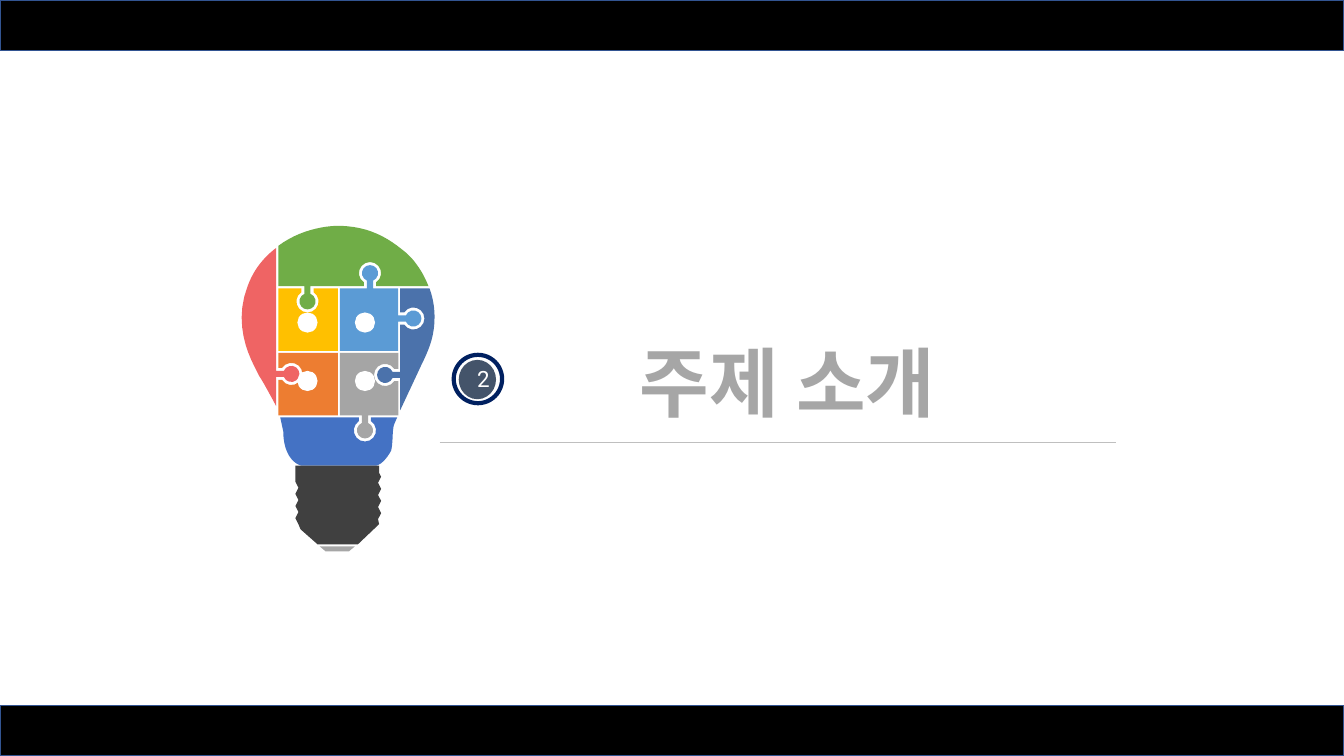
from dataclasses import dataclass
from math import asin, cos, pi, sin

from lxml import etree
from pptx import Presentation
from pptx.dml.color import RGBColor
from pptx.enum.shapes import MSO_CONNECTOR, MSO_SHAPE
from pptx.enum.text import PP_ALIGN
from pptx.oxml.ns import qn
from pptx.util import Inches, Pt

RECTANGLE = MSO_SHAPE.RECTANGLE
OVAL = MSO_SHAPE.OVAL
STRAIGHT = MSO_CONNECTOR.STRAIGHT
CENTER = PP_ALIGN.CENTER


@dataclass(frozen=True)
class Theme:
    font: str = "Roboto"
    title_size: int = 54
    number_size: int = 16
    title: str = "A6A6A6"
    white: str = "FFFFFF"
    bar: str = "000000"
    bar_line: str = "325491"
    ring: str = "002060"
    badge: str = "44546A"
    rule: str = "BFBFBF"
    gray: str = "A5A5A5"
    orange: str = "ED7D31"
    green: str = "70AD47"
    sky: str = "5B9BD5"
    navy: str = "4B72AB"
    blue: str = "4472C4"
    red: str = "EF6464"
    yellow: str = "FFC000"
    socket: str = "404040"
    tip: str = "A6A6A6"


THEME = Theme()
SLIDE_WIDTH, SLIDE_HEIGHT = 13.33, 7.5
BAR_HEIGHT = 0.5
SEAM_X = (2.75, 3.36, 3.96)
SEAM_Y = (2.85, 3.49, 4.13)
HALF_GAP = 0.01
KNOB_REACH = 0.14
KNOB_RADIUS, KNOB_NECK = 0.08, 0.03
HOLE_MARGIN = 0.03
STEPS = 12
ICON_SIZE = 0.2
RIGHT, DOWN, LEFT, UP = (quarter * pi / 2 for quarter in range(4))


def color(value):
    return RGBColor.from_string(value)


def style_shape(shape, fill=None, line=None, line_width=1):
    shape.shadow.inherit = False
    if fill:
        shape.fill.solid()
        shape.fill.fore_color.rgb = color(fill)
    else:
        shape.fill.background()
    if line:
        shape.line.color.rgb = color(line)
        shape.line.width = Pt(line_width)
    else:
        shape.line.fill.background()


def add_preset(slide, kind, left, top, width, height, **style):
    shape = slide.shapes.add_shape(kind, Inches(left), Inches(top), Inches(width), Inches(height))
    style_shape(shape, **style)


def add_outline(slide, points, fill):
    start, *rest = [(Inches(x), Inches(y)) for x, y in points]
    builder = slide.shapes.build_freeform(*start)
    builder.add_line_segments(rest, close=True)
    style_shape(builder.convert_to_shape(), fill=fill)


def curve(*controls):
    points = []
    for step in range(STEPS + 1):
        t = step / STEPS
        weights = ((1 - t) ** 3, 3 * t * (1 - t) ** 2, 3 * t * t * (1 - t), t ** 3)
        points.append(tuple(sum(weight * control[axis] for weight, control in zip(weights, controls))
                            for axis in (0, 1)))
    return points


def knob(seam_x, seam_y, angle, margin=0):
    radius, neck = KNOB_RADIUS + margin, KNOB_NECK + margin
    base = -HALF_GAP if margin == 0 else HALF_GAP
    opening = asin(neck / radius)
    sweep = 2 * (pi - opening)
    local = [(base, -neck)]
    for step in range(STEPS + 1):
        turn = opening - pi + sweep * step / STEPS
        local.append((KNOB_REACH + radius * cos(turn), radius * sin(turn)))
    local.append((base, neck))
    return [(seam_x + along * cos(angle) - across * sin(angle),
             seam_y + along * sin(angle) + across * cos(angle)) for along, across in local]


def hole(tab):
    return knob(*tab, margin=HOLE_MARGIN)[::-1]


def cell(column, row, top=(), right=(), bottom=(), left=()):
    x1, x2 = SEAM_X[column] + HALF_GAP, SEAM_X[column + 1] - HALF_GAP
    y1, y2 = SEAM_Y[row] + HALF_GAP, SEAM_Y[row + 1] - HALF_GAP
    return [(x1, y1), *top, (x2, y1), *right, (x2, y2), *bottom, (x1, y2), *left]


def add_bulb(slide):
    x1, x3 = SEAM_X[0], SEAM_X[2]
    y1, y3 = SEAM_Y[0], SEAM_Y[2]
    green_tab = (3.05, y1, DOWN)
    sky_top_tab = (3.67, y1, UP)
    sky_side_tab = (x3, 3.16, RIGHT)
    navy_tab = (x3, 3.72, LEFT)
    gray_tab = (3.62, y3, DOWN)
    red_tab = (x1, 3.71, RIGHT)

    dome = [
        *curve((x1 + HALF_GAP, 2.44), (2.96, 2.29), (3.2, 2.24), (3.37, 2.24)),
        *curve((3.37, 2.24), (3.66, 2.25), (3.84, 2.35), (4.03, 2.51)),
        *curve((4.03, 2.51), (4.12, 2.59), (4.2, 2.71), (4.25, y1 - HALF_GAP)),
        *hole(sky_top_tab), *knob(*green_tab), (x1 + HALF_GAP, y1 - HALF_GAP)]
    right_side = [
        (x3 + HALF_GAP, y1 + HALF_GAP),
        *curve((4.26, y1 + HALF_GAP), (4.3, 2.97), (4.31, 3.07), (4.31, 3.14)),
        *curve((4.31, 3.14), (4.31, 3.3), (4.28, 3.42), (4.18, 3.62)),
        *curve((4.18, 3.62), (4.12, 3.75), (4.03, 3.94), (x3 + HALF_GAP, 4.07)),
        *knob(*navy_tab), *hole(sky_side_tab)]
    left_side = [
        (x1 - HALF_GAP, 2.46), *knob(*red_tab),
        *curve((x1 - HALF_GAP, 4.03), (2.67, 3.9), (2.6, 3.77), (2.57, 3.73)),
        *curve((2.57, 3.73), (2.54, 3.65), (2.28, 3.28), (2.46, 2.83)),
        *curve((2.46, 2.83), (2.52, 2.67), (2.62, 2.55), (x1 - HALF_GAP, 2.46))]
    neck = [
        (2.78, y3 + HALF_GAP), *hole(gray_tab), (3.94, y3 + HALF_GAP),
        *curve((3.91, 4.21), (3.89, 4.26), (3.9, 4.4), (3.88, 4.47)),
        *curve((3.88, 4.47), (3.85, 4.53), (3.78, 4.62), (3.72, 4.62)),
        *curve((3, 4.62), (2.95, 4.62), (2.81, 4.54), (2.81, 4.28))]

    pieces = [
        (THEME.gray, cell(1, 1, right=hole(navy_tab), bottom=knob(*gray_tab))),
        (THEME.orange, cell(0, 1, left=hole(red_tab))),
        (THEME.green, dome),
        (THEME.sky, cell(1, 0, top=knob(*sky_top_tab), right=knob(*sky_side_tab))),
        (THEME.navy, right_side),
        (THEME.blue, neck),
        (THEME.red, left_side),
        (THEME.yellow, cell(0, 0, top=hole(green_tab))),
        (THEME.socket, socket_outline()),
        (THEME.tip, [(3.17, 5.42), (3.52, 5.42), (3.46, 5.47), (3.23, 5.47)]),
    ]
    for fill, points in pieces:
        add_outline(slide, points, fill)
    for x in (3.05, 3.62):
        for y in (3.2, 3.78):
            add_preset(slide, OVAL, x - ICON_SIZE / 2, y - ICON_SIZE / 2, ICON_SIZE, ICON_SIZE,
                       fill=THEME.white)


def socket_outline():
    right, left = [], []
    for ridge in range(8):
        drop = ridge * 0.06
        inward = 0.03 * (ridge % 2)
        right.append((3.78 - inward, 4.73 + drop))
        left.append((2.93 + inward, 4.78 + drop))
    return [(2.93, 4.62), (3.76, 4.62), (3.76, 4.69), *right, (3.76, 5.2),
            (3.55, 5.4), (3.15, 5.4), (2.98, 5.25), *left[::-1]]


def add_text(slide, text, left, top, width, height, size, font_color, bold=False):
    box = slide.shapes.add_textbox(Inches(left), Inches(top), Inches(width), Inches(height))
    box.text_frame.word_wrap = True
    paragraph = box.text_frame.paragraphs[0]
    paragraph.alignment = CENTER
    run = paragraph.add_run()
    run.text = text
    run.font.name = THEME.font
    run.font.size = Pt(size)
    run.font.bold = bold
    run.font.color.rgb = color(font_color)


def add_rule(slide, left, right, top):
    rule = slide.shapes.add_connector(STRAIGHT, Inches(left), Inches(top), Inches(right), Inches(top))
    rule.line.color.rgb = color(THEME.rule)
    rule.line.width = Pt(1)
    etree.SubElement(rule._element.spPr, qn("a:effectLst"))


def main():
    presentation = Presentation()
    presentation.slide_width = Inches(SLIDE_WIDTH)
    presentation.slide_height = Inches(SLIDE_HEIGHT)
    slide = presentation.slides.add_slide(presentation.slide_layouts[6])

    add_bulb(slide)
    add_text(slide, "주제 소개", 4.97, 3.28, 5.68, 1.01, THEME.title_size, THEME.title, bold=True)
    add_preset(slide, OVAL, 4.5, 3.52, 0.48, 0.48, line=THEME.ring, line_width=3)
    add_preset(slide, OVAL, 4.55, 3.57, 0.37, 0.39, fill=THEME.badge)
    add_text(slide, "2", 4.64, 3.57, 0.19, 0.37, THEME.number_size, THEME.white)
    add_rule(slide, 4.36, 11.07, 4.39)
    for top in (0, SLIDE_HEIGHT - BAR_HEIGHT):
        add_preset(slide, RECTANGLE, 0, top, SLIDE_WIDTH, BAR_HEIGHT, fill=THEME.bar, line=THEME.bar_line)

    presentation.save("out.pptx")


if __name__ == "__main__":
    main()
